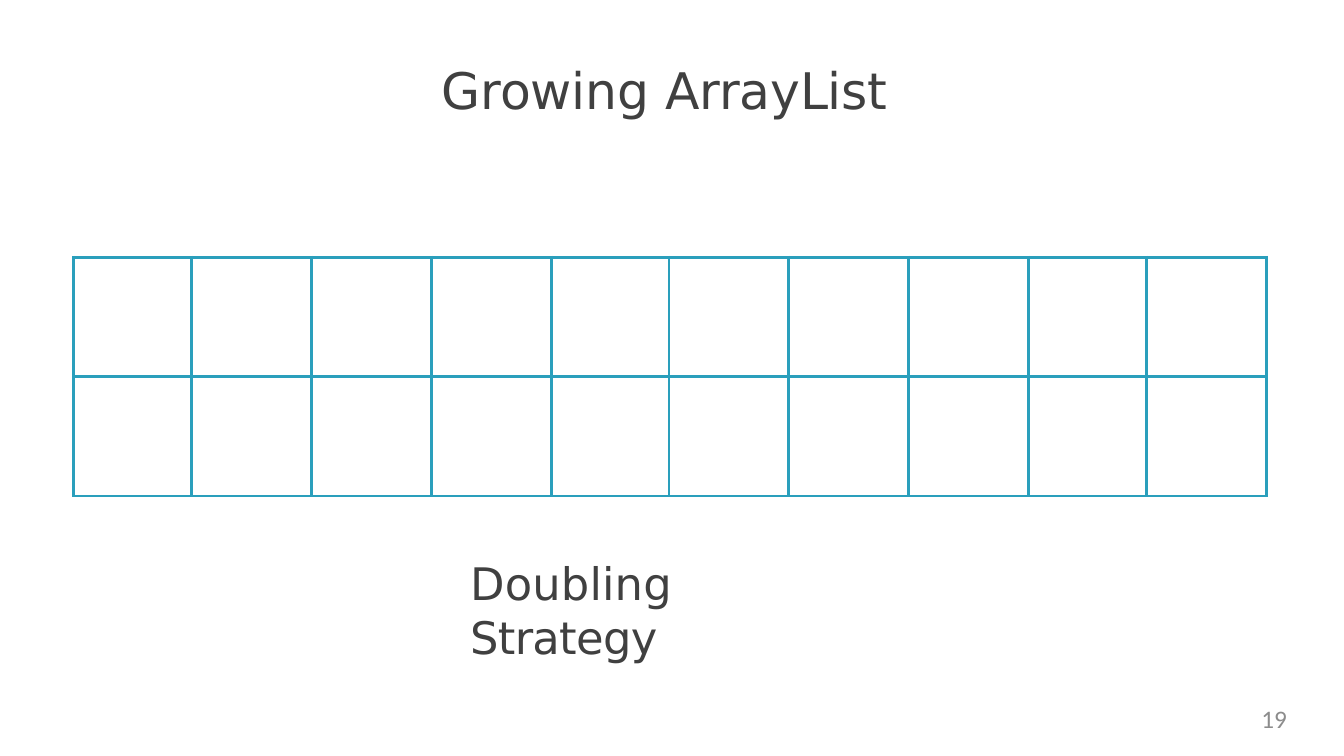
"""Build the slide on growing an ArrayList with the doubling strategy."""
import lxml.etree
import pptx
import pptx.dml.color
import pptx.enum.text
import pptx.oxml.ns
import pptx.util

Cm = pptx.util.Cm
Pt = pptx.util.Pt
PP_ALIGN = pptx.enum.text.PP_ALIGN

HEADING = [("Growing ArrayList", -10)]
STRATEGY = [("Doubling ", 10), ("Strategy", -50)]
PAGE_NUMBER = [("19", 0)]
INK, GRID_LINE, MUTED = "404040", "2A9FBC", "8C8C8C"

ROWS, COLUMNS = 2, 10
ROW_HEIGHT = 3.01
WIDE, NARROW = 3.02, 2.97
COLUMN_WIDTHS = [NARROW if i % 4 == 0 else WIDE for i in range(COLUMNS)]
GRID_LEFT, GRID_TOP = 1.86, 6.48


def color(hex_string):
    return pptx.dml.color.RGBColor.from_string(hex_string)


def place(box, left, top, width, height):
    box.left, box.top = Cm(left), Cm(top)
    box.width, box.height = Cm(width), Cm(height)


def write(box, pieces, size, font_name, ink, align=PP_ALIGN.LEFT):
    frame = box.text_frame
    frame.word_wrap = True
    frame.auto_size = pptx.enum.text.MSO_AUTO_SIZE.NONE
    frame.vertical_anchor = pptx.enum.text.MSO_ANCHOR.TOP
    frame.margin_left = frame.margin_right = frame.margin_bottom = 0
    frame.margin_top = Cm(0.03)
    paragraph = frame.paragraphs[0]
    paragraph.alignment = align
    for words, spacing in pieces:
        run = paragraph.add_run()
        run.text = words
        run.font.size = Pt(size)
        run.font.name = font_name
        run.font.color.rgb = color(ink)
        run.font._element.set("spc", str(spacing))


def outline(cell, hex_string, width):
    qn = pptx.oxml.ns.qn
    properties = cell._tc.get_or_add_tcPr()
    for position, side in enumerate(("a:lnL", "a:lnR", "a:lnT", "a:lnB")):
        line = lxml.etree.Element(qn(side), w=str(Pt(width)))
        fill = lxml.etree.SubElement(line, qn("a:solidFill"))
        lxml.etree.SubElement(fill, qn("a:srgbClr"), val=hex_string)
        properties.insert(position, line)


def main():
    deck = pptx.Presentation()
    deck.slide_width, deck.slide_height = Cm(33.87), Cm(19.05)
    slide = deck.slides.add_slide(deck.slide_layouts[5])

    heading = slide.shapes.title
    place(heading, 11.13, 1.45, 11.6, 1.6)
    write(heading, HEADING, 36, "DejaVu Sans", INK)

    array = slide.shapes.add_table(
        ROWS, COLUMNS, Cm(GRID_LEFT), Cm(GRID_TOP),
        Cm(sum(COLUMN_WIDTHS)), Cm(ROWS * ROW_HEIGHT)).table
    array.first_row = array.horz_banding = False
    for column, width in zip(array.columns, COLUMN_WIDTHS):
        column.width = Cm(width)
    for row in array.rows:
        row.height = Cm(ROW_HEIGHT)
    for slot in array.iter_cells():
        slot.fill.background()
        outline(slot, GRID_LINE, 2.25)

    strategy = slide.shapes.add_textbox(0, 0, 0, 0)
    place(strategy, 11.85, 13.97, 9.9, 2.8)
    write(strategy, STRATEGY, 32, "DejaVu Sans", INK)

    page_number = slide.shapes.add_textbox(0, 0, 0, 0)
    place(page_number, 24.38, 17.7, 8.05, 0.97)
    write(page_number, PAGE_NUMBER, 18, "Calibri", MUTED, PP_ALIGN.RIGHT)

    deck.save("out.pptx")


if __name__ == "__main__":
    main()
